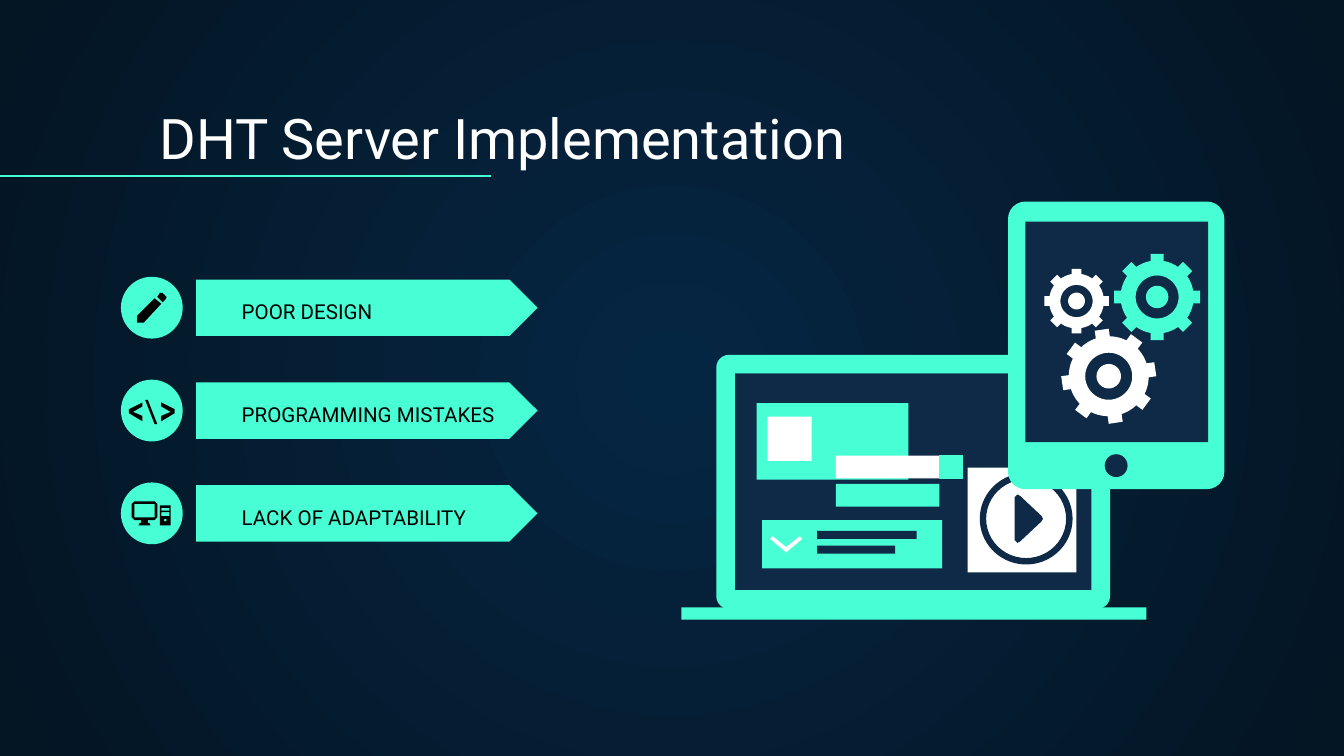
from dataclasses import dataclass
from math import asin, cos, pi, sin

from lxml.etree import SubElement
from pptx import Presentation
from pptx.dml.color import RGBColor
from pptx.enum.shapes import MSO_CONNECTOR, MSO_SHAPE
from pptx.enum.text import MSO_ANCHOR
from pptx.oxml.ns import qn
from pptx.util import Inches, Pt


@dataclass(frozen=True)
class Theme:
    """Colours, font and type sizes of the slide."""
    mint: RGBColor = RGBColor.from_string("48FFD5")
    navy: RGBColor = RGBColor.from_string("0E2A47")
    white: RGBColor = RGBColor.from_string("FFFFFF")
    black: RGBColor = RGBColor.from_string("000000")
    glow: RGBColor = RGBColor.from_string("052643")
    edge: RGBColor = RGBColor.from_string("041523")
    font: str = "Roboto"
    title: int = 30
    label: int = 11
    line: float = 0.75


THEME = Theme()

PENCIL = [
    [(0.06, -0.11), (0.04, -0.08), (0.08, -0.04), (0.1, -0.06), (0.11, -0.08), (0.08, -0.11)],
    [(0.02, -0.07), (-0.11, 0.06), (-0.11, 0.11), (-0.06, 0.11), (0.07, -0.03)],
]
BRACKET = [(-0.07, 0.08), (-0.17, 0.02), (-0.17, -0.01), (-0.07, -0.06),
           (-0.07, -0.03), (-0.14, 0.01), (-0.07, 0.04)]
SLASH = [(-0.05, -0.08), (-0.03, -0.08), (0.04, 0.1), (0.02, 0.1)]
MONITOR = [
    [(-0.13, -0.09), (0.02, -0.09), (0.04, -0.07), (0.04, 0.03), (0.02, 0.05),
     (-0.03, 0.05), (-0.03, 0.07), (-0.02, 0.07), (-0.01, 0.09), (-0.1, 0.09),
     (-0.09, 0.07), (-0.08, 0.07), (-0.08, 0.05), (-0.13, 0.05), (-0.15, 0.03),
     (-0.15, -0.07)],
    [(-0.13, -0.07), (-0.13, 0.03), (0.02, 0.03), (0.02, -0.07)],
]


def apply_format(target, values):
    """Set each named attribute of the target."""
    for name, value in values.items():
        setattr(target, name, value)


def paint(shape, color, outlined=False):
    """Give a shape a flat fill, with an outline only on request."""
    shape.shadow.inherit = False
    shape.fill.solid()
    shape.fill.fore_color.rgb = color
    if outlined:
        shape.line.color.rgb = color
        shape.line.width = Pt(THEME.line)
    else:
        shape.line.fill.background()


def add_preset(slide, kind, box, color, adjustment=None, outlined=False):
    """Add a filled preset shape."""
    shape = slide.shapes.add_shape(kind, *map(Inches, box))
    if adjustment is not None:
        shape.adjustments[0] = adjustment
    paint(shape, color, outlined)


def add_outline(slide, center, contours, color):
    """Add a freeform whose contours are measured from a center."""
    paths = [[(Inches(center[0] + x), Inches(center[1] + y)) for x, y in contour]
             for contour in contours]
    builder = slide.shapes.build_freeform(*paths[0][0])
    for index, path in enumerate(paths):
        if index:
            builder.move_to(*path[0])
        builder.add_line_segments(path[1:], close=True)
    paint(builder.convert_to_shape(), color)


def circle(radius, x=0, y=0, steps=40):
    """Return the points of a circle."""
    return [(x + radius * cos(2 * pi * i / steps), y + radius * sin(2 * pi * i / steps))
            for i in range(steps)]


def rectangle(left, top, width, height):
    """Return the corners of a rectangle."""
    return [(left, top), (left + width, top), (left + width, top + height), (left, top + height)]


def add_gear(slide, center, radius, color, turn=0.0, teeth=8):
    """Add a gear with a ring hole and a hub."""
    root, half = 0.85 * radius, 0.15 * radius
    side = asin(half / root)
    gap = 2 * pi / teeth - 2 * side
    rim = []
    for tooth in range(teeth):
        angle = turn + 2 * pi * tooth / teeth
        arc = [(root * cos(side + gap * i / 5), root * sin(side + gap * i / 5)) for i in range(6)]
        rim += [(x * cos(angle) - y * sin(angle), x * sin(angle) + y * cos(angle))
                for x, y in [(radius, -half), (radius, half), *arc]]
    add_outline(slide, center, [rim, circle(0.5 * radius), circle(0.26 * radius)], color)


def add_text(slide, box, text, size, color):
    """Add a bottom-anchored line of text."""
    frame = slide.shapes.add_textbox(*map(Inches, box)).text_frame
    margins = {f"margin_{side}": Inches(0.1) for side in ("left", "top", "right", "bottom")}
    apply_format(frame, {"word_wrap": True, "vertical_anchor": MSO_ANCHOR.BOTTOM, **margins})
    run = frame.paragraphs[0].add_run()
    run.text = text
    apply_format(run.font, {"name": THEME.font, "size": Pt(size)})
    run.font.color.rgb = color


def add_rule(slide, start, end):
    """Add a thin straight line."""
    points = map(Inches, (*start, *end))
    connector = slide.shapes.add_connector(MSO_CONNECTOR.STRAIGHT, *points)
    connector.line.color.rgb = THEME.mint
    connector.line.width = Pt(THEME.line)
    SubElement(connector._element.spPr, qn("a:effectLst"))


def set_background(slide):
    """Fill the background with a radial gradient."""
    fill = slide.background.fill
    fill.gradient()
    for stop, color in zip(fill.gradient_stops, (THEME.glow, THEME.edge)):
        stop.color.rgb = color
    gradient = next(slide._element.iter(qn("a:gradFill")))
    gradient.remove(gradient.find(qn("a:lin")))
    radial = SubElement(gradient, qn("a:path"), {"path": "circle"})
    SubElement(radial, qn("a:fillToRect"), dict.fromkeys("ltrb", "50000"))


def add_issues(slide):
    """Add the three labelled arrows with their icons."""
    mirrored = [(-x, y) for x, y in BRACKET]
    tower = [rectangle(0.06, -0.06, 0.08, 0.15), rectangle(0.07, -0.04, 0.06, 0.02),
             rectangle(0.07, -0.01, 0.06, 0.03), circle(0.01, 0.1, 0.05)]
    issues = [
        ("POOR DESIGN", [PENCIL]),
        ("PROGRAMMING MISTAKES", [[BRACKET], [SLASH], [mirrored]]),
        ("LACK OF ADAPTABILITY", [MONITOR, tower]),
    ]
    for row, (text, icon) in enumerate(issues):
        middle = 2.29 + 1.53 * row / 2
        add_preset(slide, MSO_SHAPE.PENTAGON, (1.46, middle - 0.21, 2.54, 0.42), THEME.mint, 0.5)
        add_text(slide, (1.7, middle, 2.27, 0.21), text, THEME.label, THEME.black)
        add_preset(slide, MSO_SHAPE.OVAL, (0.9, middle - 0.23, 0.46, 0.46), THEME.mint)
        for contours in icon:
            add_outline(slide, (1.13, middle), contours, THEME.black)


def add_laptop(slide):
    """Add the laptop with the page on its screen."""
    add_preset(slide, MSO_SHAPE.ROUNDED_RECTANGLE, (5.33, 2.64, 2.93, 1.89), THEME.mint, 0.05)
    blocks = [
        ((5.47, 2.78, 2.65, 1.61), THEME.navy),
        ((5.07, 4.52, 3.46, 0.09), THEME.mint),
        ((5.47, 2.78, 2.65, 0.15), THEME.navy),
        ((5.63, 3, 1.13, 0.57), THEME.mint),
        ((5.71, 3.1, 0.33, 0.33), THEME.white),
        ((6.02, 3.87, 0.99, 0.36), THEME.mint),
        ((6.08, 3.95, 0.74, 0.06), THEME.navy),
        ((6.08, 4.06, 0.58, 0.06), THEME.navy),
        ((5.67, 3.87, 0.35, 0.36), THEME.mint),
        ((6.22, 3.6, 0.77, 0.17), THEME.mint),
        ((6.22, 3.39, 0.77, 0.17), THEME.white),
        ((7.2, 3.48, 0.81, 0.78), THEME.white),
    ]
    for box, color in blocks:
        add_preset(slide, MSO_SHAPE.RECTANGLE, box, color)
    add_preset(slide, MSO_SHAPE.RECTANGLE, (6.99, 3.39, 0.17, 0.17), THEME.mint, outlined=True)
    chevron = [(-0.1, -0.06), (0, 0.02), (0.1, -0.06), (0.12, -0.04), (0, 0.06), (-0.12, -0.04)]
    add_outline(slide, (5.85, 4.05), [chevron], THEME.white)
    add_preset(slide, MSO_SHAPE.DONUT, (7.29, 3.52, 0.69, 0.68), THEME.navy, 0.07)
    play = [(-0.08, -0.18), (-0.06, -0.17), (0.1, -0.02), (0.11, 0), (0.1, 0.02),
            (-0.06, 0.17), (-0.08, 0.18), (-0.1, 0.16), (-0.1, -0.16)]
    add_outline(slide, (7.65, 3.86), [play], THEME.navy)


def add_tablet(slide):
    """Add the tablet with its three gears."""
    add_preset(slide, MSO_SHAPE.ROUNDED_RECTANGLE, (7.5, 1.5, 1.61, 2.14), THEME.mint, 0.08)
    add_preset(slide, MSO_SHAPE.RECTANGLE, (7.63, 1.65, 1.36, 1.64), THEME.navy)
    add_preset(slide, MSO_SHAPE.OVAL, (8.22, 3.38, 0.17, 0.17), THEME.navy)
    add_gear(slide, (8.61, 2.21), 0.32, THEME.mint)
    add_gear(slide, (8.01, 2.24), 0.24, THEME.white)
    add_gear(slide, (8.25, 2.8), 0.35, THEME.white, turn=-0.15)


def main():
    """Build and save the slide."""
    presentation = Presentation()
    width = Inches(10)
    apply_format(presentation, {"slide_width": width, "slide_height": width * 9 // 16})
    slide = presentation.slides.add_slide(presentation.slide_layouts[6])
    set_background(slide)
    title_box = (1.09, 0.71, 8.57, 0.66)
    add_text(slide, title_box, "DHT Server Implementation", THEME.title, THEME.white)
    add_rule(slide, (0, 1.31), (3.65, 1.31))
    add_issues(slide)
    add_laptop(slide)
    add_tablet(slide)
    presentation.save("out.pptx")


if __name__ == "__main__":
    main()
